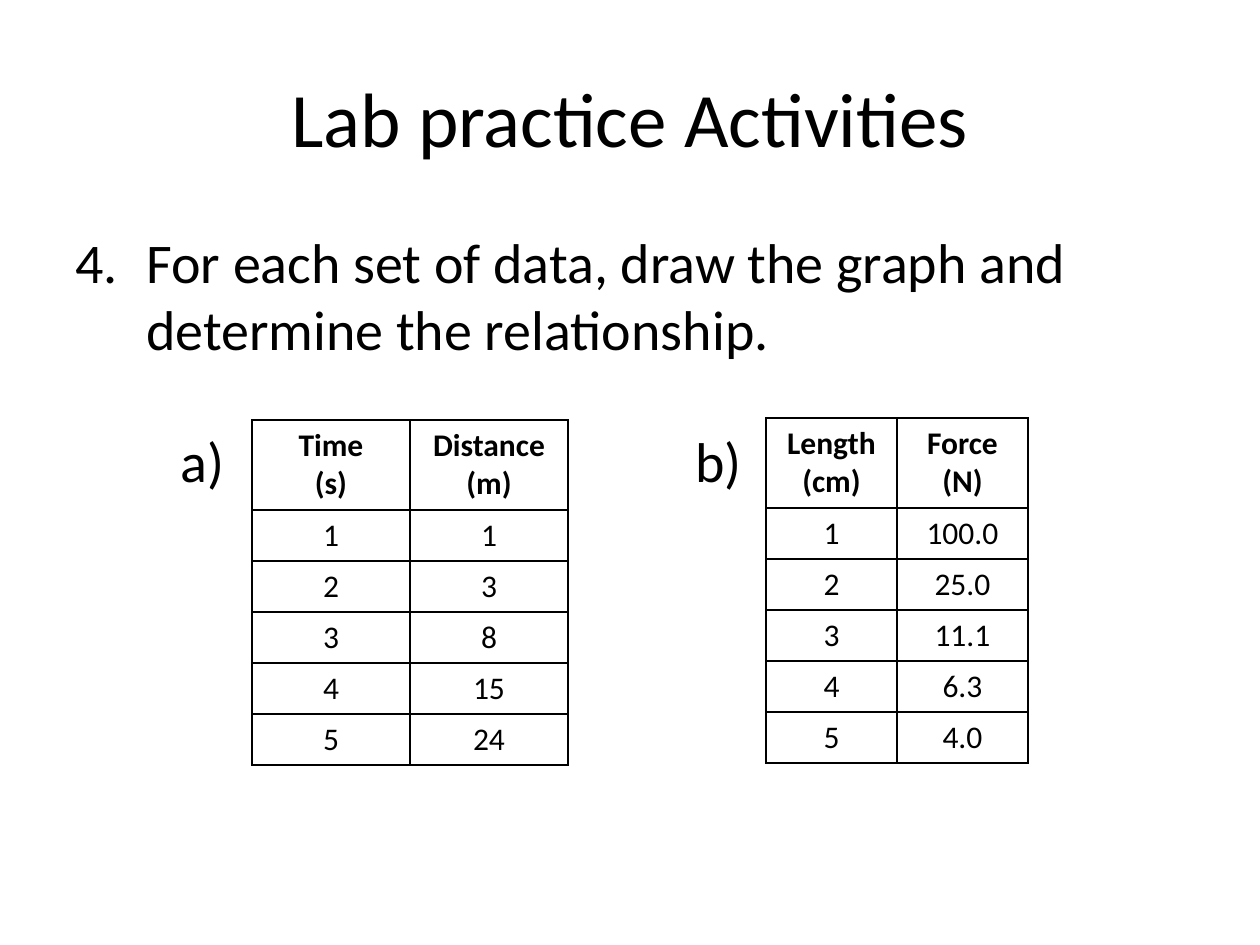
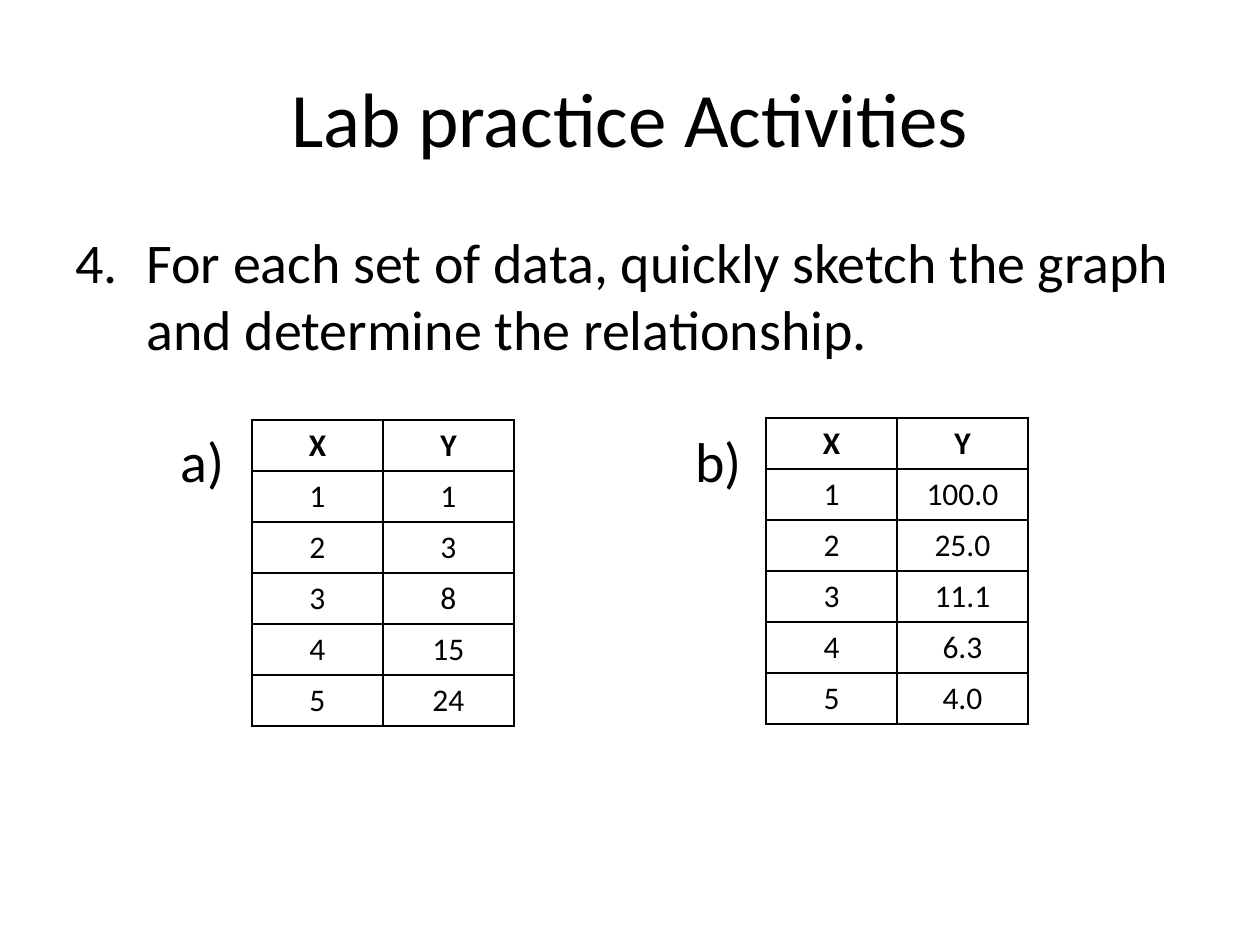
from pptx import Presentation
from pptx.dml.color import RGBColor
from pptx.enum.text import MSO_ANCHOR, PP_ALIGN
from pptx.oxml.ns import qn
from pptx.util import Emu, Pt
from lxml.etree import SubElement

# Content
TITLE = "Lab practice Activities"
QUESTION_NUMBER = 4
X_VALUES = ["1", "2", "3", "4", "5"]
A_VALUES = ["1", "3", "8", "15", "24"]
B_VALUES = ["100.0", "25.0", "11.1", "6.3", "4.0"]
ACTIVITIES = [
    {
        "question": "For each set of data, draw the graph and determine the relationship.",
        "header_height": 90,
        "sets": [
            {"label": "a)", "header": ["Time\n(s)", "Distance (m)"], "y": A_VALUES, "column": 158},
            {"label": "b)", "header": ["Length (cm)", "Force (N)"], "y": B_VALUES, "column": 131},
        ],
    },
    {
        "question": "For each set of data, quickly sketch the graph and determine the relationship.",
        "header_height": 51,
        "sets": [
            {"label": "a)", "header": ["X", "Y"], "y": A_VALUES, "column": 131},
            {"label": "b)", "header": ["X", "Y"], "y": B_VALUES, "column": 131},
        ],
    },
]

# Shared look, lengths in px
COLORS = {"text": "000000", "background": "FFFFFF", "border": "000000"}
FONT = "Calibri"
EMU_PER_PX = 914400 / 126
TITLE_BOX = (63, 38, 1134, 158)
QUESTION_BOX = (63, 221, 1134, 158)
LABEL_BOXES = [(168, 420, 69, 80), (683, 420, 73, 80)]
TABLE_CORNERS = [(252, 420), (766, 418)]
ROW_HEIGHT = 51
NUMBER_INDENT = 71


def px(length):
    return Emu(round(length * EMU_PER_PX))


def write(frame, text, size=32, bold=False, align=PP_ALIGN.LEFT, number=None):
    """Fill a text frame, one paragraph per line of text."""
    for index, line in enumerate(text.split("\n")):
        paragraph = frame.paragraphs[0] if index == 0 else frame.add_paragraph()
        paragraph.alignment = align
        if number:
            properties = paragraph._p.get_or_add_pPr()
            properties.set("marL", str(px(NUMBER_INDENT)))
            properties.set("indent", str(-px(NUMBER_INDENT)))
            SubElement(properties, qn("a:buFont"), typeface="+mj-lt")
            SubElement(properties, qn("a:buAutoNum"), type="arabicPeriod", startAt=str(number))
        run = paragraph.add_run()
        run.text = line
        run.font.name = FONT
        run.font.size = Pt(size)
        run.font.bold = bold
        run.font.color.rgb = RGBColor.from_string(COLORS["text"])


def add_text(slide, box, text, wrap=True, anchor=MSO_ANCHOR.TOP, **text_format):
    frame = slide.shapes.add_textbox(*map(px, box)).text_frame
    frame.word_wrap = wrap
    frame.vertical_anchor = anchor
    write(frame, text, **text_format)


def outline(cell):
    properties = cell._tc.get_or_add_tcPr()
    for side in ("lnL", "lnR", "lnT", "lnB"):
        line = SubElement(properties, qn(f"a:{side}"), w=str(Pt(1)))
        fill = SubElement(line, qn("a:solidFill"))
        SubElement(fill, qn("a:srgbClr"), val=COLORS["border"])


def add_data_table(slide, corner, data_set, header_height):
    rows = [data_set["header"], *zip(X_VALUES, data_set["y"])]
    heights = [header_height] + [ROW_HEIGHT] * len(X_VALUES)
    size = (2 * data_set["column"], sum(heights))
    table = slide.shapes.add_table(len(rows), 2, *map(px, corner + size)).table
    table.first_row = table.horz_banding = False
    for column in table.columns:
        column.width = px(data_set["column"])
    for row_index, (values, height) in enumerate(zip(rows, heights)):
        table.rows[row_index].height = px(height)
        for column_index, value in enumerate(values):
            cell = table.cell(row_index, column_index)
            write(cell.text_frame, value, size=18, bold=row_index == 0, align=PP_ALIGN.CENTER)
            outline(cell)
            cell.fill.background()


def add_activity(presentation, activity):
    slide = presentation.slides.add_slide(presentation.slide_layouts[6])
    slide.background.fill.solid()
    slide.background.fill.fore_color.rgb = RGBColor.from_string(COLORS["background"])
    add_text(slide, TITLE_BOX, TITLE, size=44, align=PP_ALIGN.CENTER, anchor=MSO_ANCHOR.MIDDLE)
    add_text(slide, QUESTION_BOX, activity["question"], number=QUESTION_NUMBER)
    # Labelled data sets, side by side
    for data_set, label_box, corner in zip(activity["sets"], LABEL_BOXES, TABLE_CORNERS):
        add_data_table(slide, corner, data_set, activity["header_height"])
        add_text(slide, label_box, data_set["label"], wrap=False)


def main():
    presentation = Presentation()
    presentation.slide_width, presentation.slide_height = px(1260), px(945)
    for activity in ACTIVITIES:
        add_activity(presentation, activity)
    presentation.save("out.pptx")


if __name__ == "__main__":
    main()
